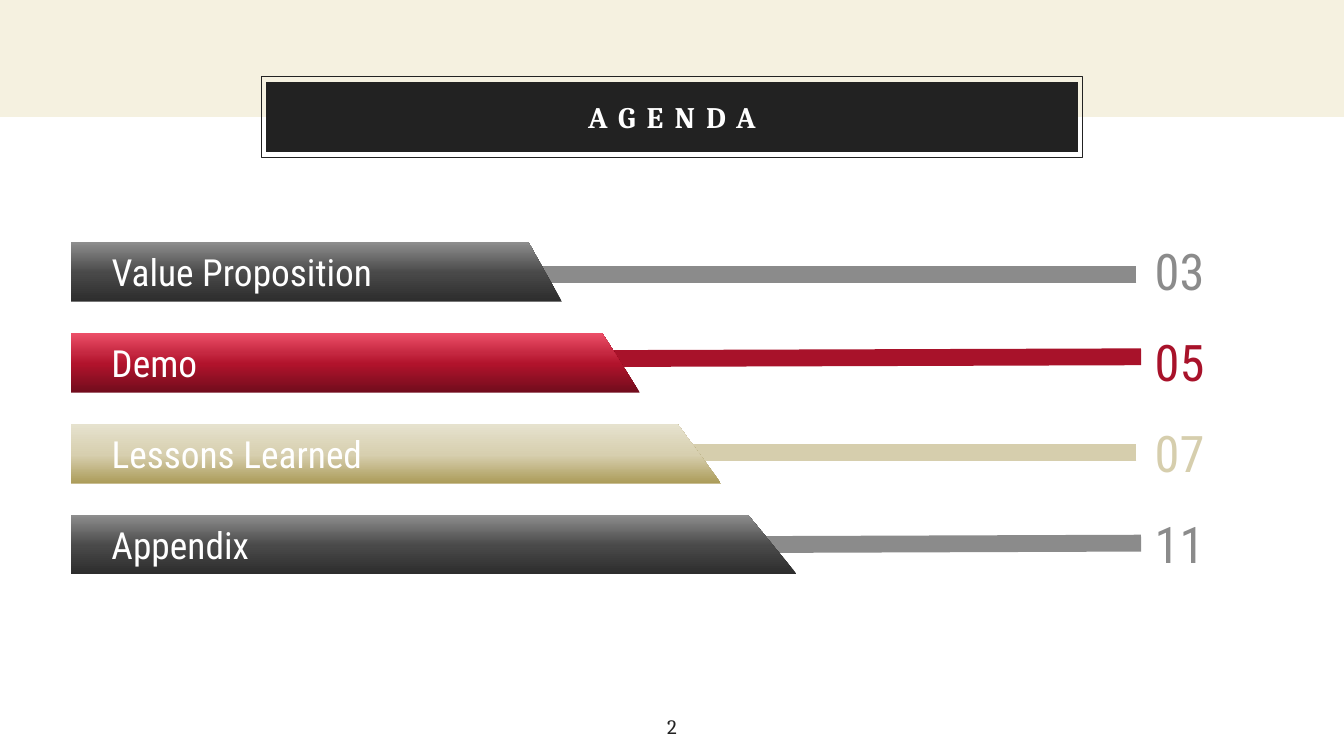
import copy
from dataclasses import dataclass

import pptx
import pptx.dml.color
import pptx.enum.shapes
import pptx.enum.text
import pptx.oxml
import pptx.oxml.ns
import pptx.util

RGBColor = pptx.dml.color.RGBColor
WHITE = RGBColor(0xFF, 0xFF, 0xFF)
INK = RGBColor(0x22, 0x22, 0x22)
CREAM = RGBColor(0xF5, 0xF1, 0xE0)
GRAY = RGBColor(0x8B, 0x8B, 0x8B)
RED = RGBColor(0xA8, 0x12, 0x2A)
SAND = RGBColor(0xD6, 0xCE, 0xAD)
GRAY_BLEND = (RGBColor(0x2D, 0x2D, 0x2D), RGBColor(0x49, 0x49, 0x49), RGBColor(0x8E, 0x8E, 0x8E))
RED_BLEND = (RGBColor(0x71, 0x0C, 0x1C), RGBColor(0xB1, 0x13, 0x2C), RGBColor(0xEC, 0x4F, 0x68))
SAND_BLEND = (RGBColor(0xAB, 0x9B, 0x58), RGBColor(0xD7, 0xCF, 0xAF), RGBColor(0xE6, 0xE2, 0xCE))
BLEND_POSITIONS = (0, 0.48, 1)

SERIF = "Cambria"
SANS = "Roboto Condensed"
WIDTH = pptx.util.Inches(10)
HEIGHT = WIDTH * 9 // 16
INSET = pptx.util.Inches(0.1)
BAR_INSET = pptx.util.Inches(0.3)
ALIGN = pptx.enum.text.PP_ALIGN
ANCHOR = pptx.enum.text.MSO_ANCHOR

BAR_LEFT = 5.3
FIRST_TOP = 32
ROW_PITCH = 12.03
ROW_HEIGHT = 7.9
NUMBER_LEFT = 84.93


@dataclass
class Topic:
    label: str
    number: str
    color: RGBColor
    blend: tuple
    top_right: float
    bottom_right: float
    line_start: tuple
    line_end: tuple


TOPICS = (
    Topic("Value Proposition", "03", GRAY, GRAY_BLEND, 39.3, 41.8, (84.55, 36.35), (31.3, 36.35)),
    Topic("Demo", "05", RED, RED_BLEND, 44.8, 47.6, (84.9, 47.2), (33.7, 47.5)),
    Topic("Lessons Learned", "07", SAND, SAND_BLEND, 50.4, 53.65, (84.55, 59.9), (35.2, 59.9)),
    Topic("Appendix", "11", GRAY, GRAY_BLEND, 55.65, 59.3, (84.9, 71.85), (38.7, 72.15)),
)


def across(percent):
    return round(WIDTH * percent / 100)


def down(percent):
    return round(HEIGHT * percent / 100)


def area(left, top, width, height):
    return across(left), down(top), across(width), down(height)


def write(shape, text, font, size, color, align=ALIGN.LEFT, anchor=ANCHOR.MIDDLE, left_inset=INSET):
    frame = shape.text_frame
    frame.text = text
    frame.word_wrap = True
    frame.auto_size = pptx.enum.text.MSO_AUTO_SIZE.NONE
    frame.vertical_anchor = anchor
    frame.margin_left = left_inset
    frame.margin_top = frame.margin_right = frame.margin_bottom = INSET
    para = frame.paragraphs[0]
    para.alignment = align
    span = para.runs[0]
    span.font.name = font
    span.font.size = pptx.util.Pt(size)
    span.font.color.rgb = color
    return span


def add_rectangle(page, place, fill=None, line=None):
    box = page.shapes.add_shape(pptx.enum.shapes.MSO_SHAPE.RECTANGLE, *place)
    box.shadow.inherit = False
    if fill is None:
        box.fill.background()
    else:
        box.fill.solid()
        box.fill.fore_color.rgb = fill
    if line is None:
        box.line.fill.background()
    else:
        box.line.color.rgb = line
        box.line.width = pptx.util.Pt(0.75)


def add_title(page, text):
    title = page.shapes.title
    page.shapes._spTree.append(title._element)
    title.left, title.top, title.width, title.height = area(19.8, 10.85, 60.4, 9.25)
    title.fill.solid()
    title.fill.fore_color.rgb = INK
    span = write(title, text, SERIF, 16, WHITE, ALIGN.CENTER)
    span.font.bold = True
    span._r.get_or_add_rPr().set("spc", "600")


def add_text(page, place, text, font, size, color, **layout):
    box = page.shapes.add_textbox(*place)
    write(box, text, font, size, color, **layout)


def add_line(page, topic):
    (start_x, start_y), (end_x, end_y) = topic.line_start, topic.line_end
    line = page.shapes.add_connector(
        pptx.enum.shapes.MSO_CONNECTOR.STRAIGHT,
        across(start_x), down(start_y), across(end_x), down(end_y))
    line.line.color.rgb = topic.color
    line.line.width = pptx.util.Pt(9)
    line._element.spPr.append(pptx.oxml.parse_xml(
        "<a:effectLst %s/>" % pptx.oxml.ns.nsdecls("a")))


def blend_fill(shape, colors):
    shape.fill.gradient()
    shape.fill.gradient_angle = 90
    stops = shape._element.spPr.find(".//" + pptx.oxml.ns.qn("a:gsLst"))
    stops.append(copy.deepcopy(stops[-1]))
    for stop, color, position in zip(shape.fill.gradient_stops, colors, BLEND_POSITIONS):
        stop.color.rgb = color
        stop.position = position


def add_bar(page, topic, top):
    bottom = top + ROW_HEIGHT
    outline = page.shapes.build_freeform(across(BAR_LEFT), down(top))
    corners = ((BAR_LEFT, bottom), (topic.bottom_right, bottom), (topic.top_right, top))
    outline.add_line_segments([(across(x), down(y)) for x, y in corners], close=True)
    bar = outline.convert_to_shape()
    bar.shadow.inherit = False
    bar.line.fill.background()
    blend_fill(bar, topic.blend)
    write(bar, topic.label, SANS, 20, WHITE, left_inset=BAR_INSET)


def main():
    deck = pptx.Presentation()
    deck.slide_width, deck.slide_height = WIDTH, HEIGHT
    page = deck.slides.add_slide(deck.slide_layouts.get_by_name("Title Only"))
    add_rectangle(page, area(0, 0, 100, 15.47), fill=CREAM)
    add_rectangle(page, area(19.45, 10.15, 61.1, 10.67), line=INK)
    add_title(page, "AGENDA")
    add_text(page, area(47, 92.62, 6, 5.33), "2", SERIF, 11, INK,
             align=ALIGN.CENTER, anchor=ANCHOR.TOP)
    for topic in TOPICS:
        add_line(page, topic)
    for row, topic in enumerate(TOPICS):
        top = FIRST_TOP + row * ROW_PITCH
        add_bar(page, topic, top)
        add_text(page, area(NUMBER_LEFT, top - 0.15, 6.2, ROW_HEIGHT),
                 topic.number, SANS, 27, topic.color)
    deck.save("out.pptx")


if __name__ == "__main__":
    main()
